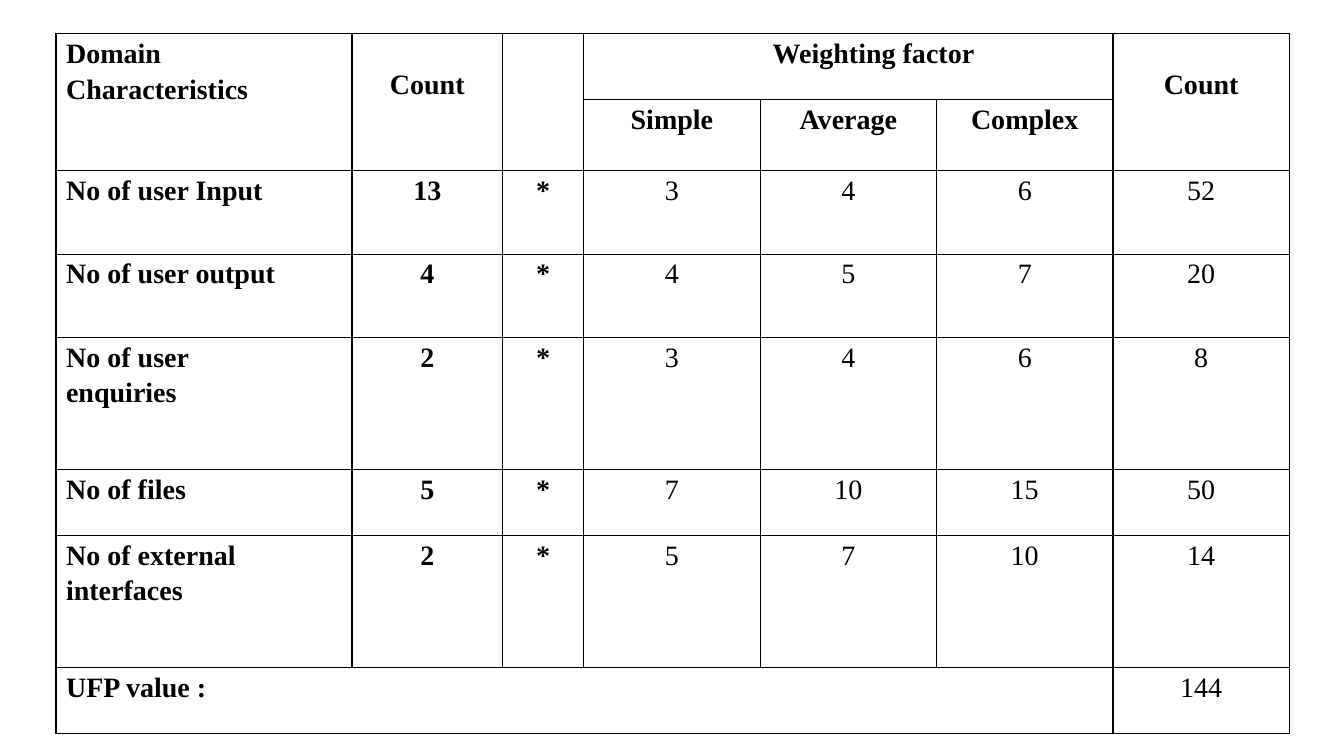
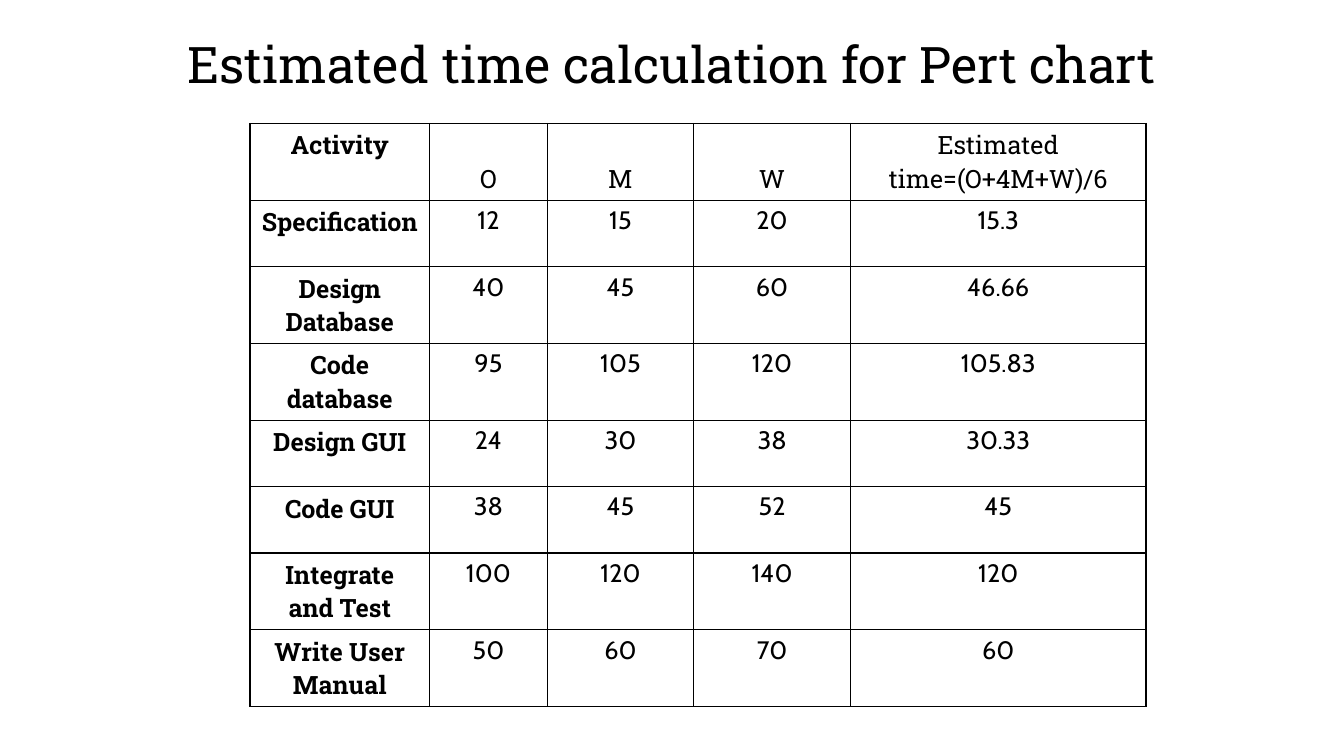
from lxml.etree import SubElement
from pptx import Presentation
from pptx.dml.color import RGBColor
from pptx.enum.text import MSO_ANCHOR, PP_ALIGN
from pptx.oxml.ns import qn
from pptx.util import Pt

INK, PAPER = "000000", "FFFFFF"
SERIF, SLAB, SANS = "Times New Roman", "Roboto Slab", "Cabin"
hue = RGBColor.from_string


def put(frame, text, align, space, form):
    """Fill a text frame and format every paragraph and run in it."""
    frame.text = text
    for para in frame.paragraphs:
        para.alignment, para.line_spacing = align, space
        for run in para.runs:
            run.font.color.rgb = hue(INK)
            for name, value in form.items():
                setattr(run.font, name, value)


def grid(slide, spot, wide, tall, pads):
    """Add a white table with black one-point rules."""
    frame = slide.shapes.add_table(len(tall), len(wide), Pt(spot[0]), Pt(spot[1]),
                                   Pt(sum(wide)), Pt(sum(tall)))
    table = frame.table
    table.horz_banding = table.first_row = False
    for col, size in zip(table.columns, wide):
        col.width = Pt(size)
    for row, size in zip(table.rows, tall):
        row.height = Pt(size)
    for cell in table.iter_cells():
        for name, size in pads.items():
            setattr(cell, name, Pt(size))
        props = cell._tc.get_or_add_tcPr()
        for side in ("a:lnL", "a:lnR", "a:lnT", "a:lnB"):
            line = SubElement(props, qn(side), w=str(Pt(1)))
            solid = SubElement(line, qn("a:solidFill"))
            SubElement(solid, qn("a:srgbClr"), val=INK)
        cell.fill.solid()
        cell.fill.fore_color.rgb = hue(PAPER)
    return table


deck = Presentation()
deck.slide_width, deck.slide_height = Pt(960), Pt(540)
blank = deck.slide_layouts[6]

# Function points
points = [
    ["Domain Characteristics", "Count", "", "Weighting factor", "", "", "Count"],
    ["", "", "", "Simple", "Average", "Complex", ""],
    ["No of user Input", "13", "*", "3", "4", "6", "52"],
    ["No of user output", "4", "*", "4", "5", "7", "20"],
    ["No of user\nenquiries", "2", "*", "3", "4", "6", "8"],
    ["No of files", "5", "*", "7", "10", "15", "50"],
    ["No of external\ninterfaces", "2", "*", "5", "7", "10", "14"],
    ["UFP value :", "", "", "", "", "", "144"],
]
slide = deck.slides.add_slide(blank)
pads = {"margin_left": 7.2, "margin_right": 7.2, "margin_top": 0, "margin_bottom": 0}
table = grid(slide, (40, 24), [211.5, 107.5, 58] + [126] * 4,
             [47, 50.5, 59.5, 59.5, 94.5, 47, 94.5, 47], pads)
for top, left, low, right in [(0, 0, 1, 0), (0, 1, 1, 1), (0, 2, 1, 2),
                              (0, 6, 1, 6), (0, 3, 0, 5), (7, 0, 7, 5)]:
    table.cell(top, left).merge(table.cell(low, right))
for r, row in enumerate(points):
    for c, text in enumerate(row):
        if text:
            form = {"name": SERIF, "size": Pt(20), "bold": r < 2 or c < 3}
            align = PP_ALIGN.CENTER if c else PP_ALIGN.JUSTIFY
            put(table.cell(r, c).text_frame, text, align, 1.15, form)
for c in (1, 6):
    table.cell(0, c).margin_top = Pt(22)
table.cell(0, 3).margin_left = Pt(43.2)

# Time estimates
times = [
    ["Activity", "O", "M", "W", "Estimated time=(O+4M+W)/6"],
    ["Specification", "12", "15", "20", "15.3"],
    ["Design Database", "40", "45", "60", "46.66"],
    ["Code database", "95", "105", "120", "105.83"],
    ["Design GUI", "24", "30", "38", "30.33"],
    ["Code GUI", "38", "45", "52", "45"],
    ["Integrate and Test", "100", "120", "140", "120"],
    ["Write User Manual", "50", "60", "70", "60"],
]
slide = deck.slides.add_slide(blank)
one, two = 47.5, 54.7
table = grid(slide, (178.6, 88.2), [128.2, 84.2, 104.4, 112.2, 211],
             [two, one, two, two, one, one, two, two], {})
for r, row in enumerate(times):
    for c, text in enumerate(row):
        form = {"name": SANS if r and c else SLAB, "size": Pt(18), "bold": c == 0}
        put(table.cell(r, c).text_frame, text, PP_ALIGN.CENTER, 1.0, form)
for c in (1, 2, 3):
    table.cell(0, c).vertical_anchor = MSO_ANCHOR.BOTTOM

title = slide.shapes.add_textbox(Pt(48), Pt(21.6), Pt(864), Pt(47.5)).text_frame
title.word_wrap, title.vertical_anchor = True, MSO_ANCHOR.MIDDLE
put(title, "Estimated time calculation for Pert chart", PP_ALIGN.CENTER, 1.0,
    {"name": SLAB, "size": Pt(36)})

deck.save("out.pptx")
